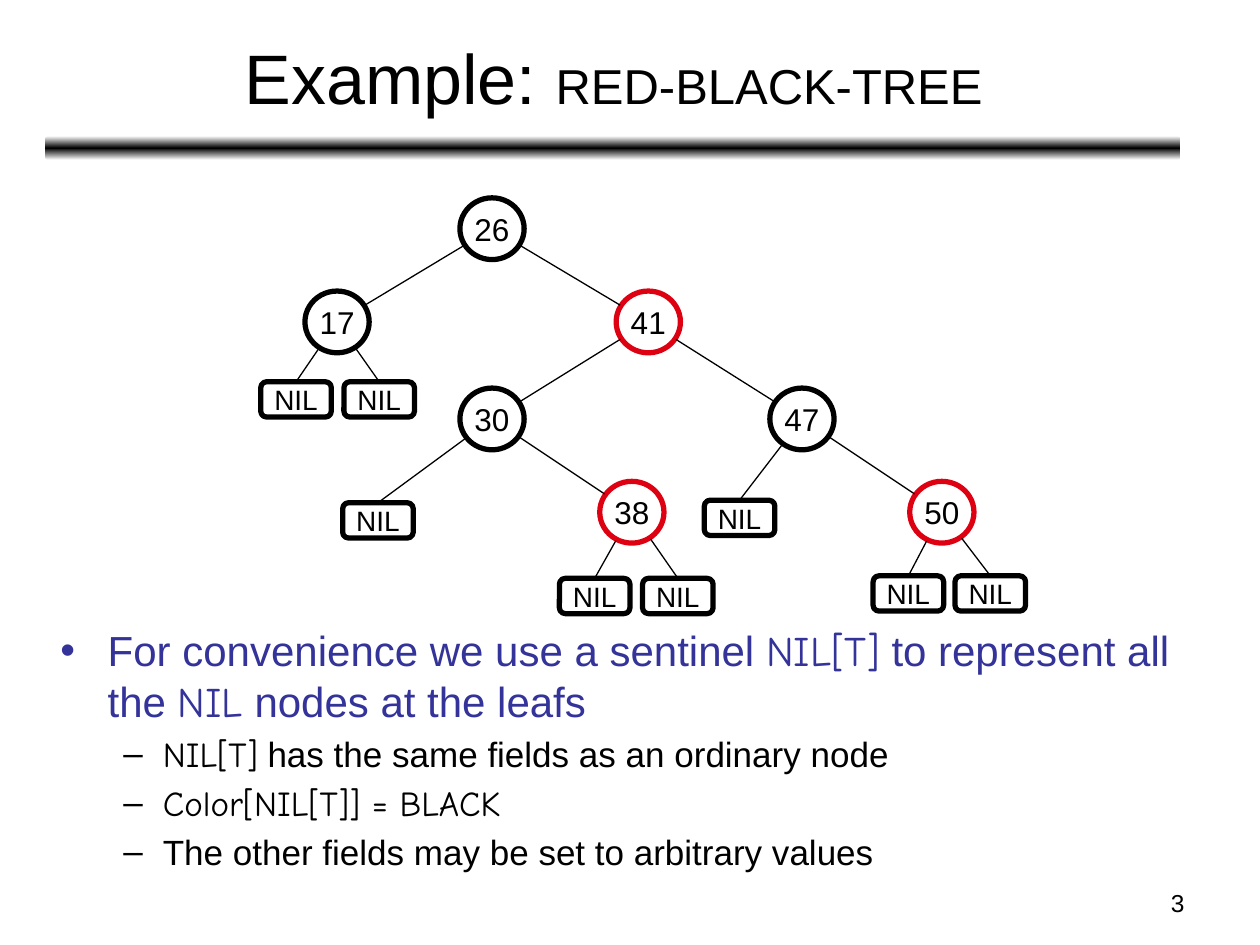
from copy import deepcopy
from dataclasses import dataclass
from math import hypot

from lxml import etree
from pptx import Presentation
from pptx.dml.color import RGBColor
from pptx.enum.shapes import MSO_CONNECTOR, MSO_SHAPE
from pptx.enum.text import MSO_ANCHOR, MSO_AUTO_SIZE, PP_ALIGN
from pptx.oxml.ns import qn
from pptx.util import Inches, Pt

CIRCLE, ROUNDED = MSO_SHAPE.OVAL, MSO_SHAPE.ROUNDED_RECTANGLE
STRAIGHT = MSO_CONNECTOR.STRAIGHT
MIDDLE = MSO_ANCHOR.MIDDLE
CENTER, RIGHT = PP_ALIGN.CENTER, PP_ALIGN.RIGHT
FIXED_SIZE = MSO_AUTO_SIZE.NONE


@dataclass(frozen=True)
class Theme:
    black: RGBColor = RGBColor(0, 0, 0)
    white: RGBColor = RGBColor(255, 255, 255)
    red: RGBColor = RGBColor(0xDD, 0x01, 0x11)
    lead: RGBColor = RGBColor(0x33, 0x33, 0x99)
    font: str = "Arial"
    code_font: str = "Comic Neue"
    title_size: int = 40
    subtitle_size: int = 28
    lead_size: int = 24
    point_size: int = 20
    key_size: int = 18
    nil_size: int = 16
    page_size: int = 14
    node_line: float = 3
    edge_line: float = 0.75


THEME = Theme()

NODE_W, NODE_H = 0.51, 0.49
NIL_W, NIL_H = 0.56, 0.28
EDGE_GAP = 0.26  # from a node's centre to the end of its edges

# key: (left, top, colour), within the tree's box
NODES = {
    26: (1.58, 0, THEME.black),
    17: (0.35, 0.74, THEME.black),
    41: (2.82, 0.74, THEME.red),
    30: (1.58, 1.51, THEME.black),
    47: (4.04, 1.51, THEME.black),
    38: (2.69, 2.25, THEME.red),
    50: (5.15, 2.25, THEME.red),
}
EDGES = [(26, 17), (26, 41), (41, 30), (41, 47), (30, 38), (47, 50)]
# (parent, left, top), within the tree's box
NILS = [
    (17, 0, 1.46), (17, 0.66, 1.46), (30, 0.65, 2.42), (47, 3.52, 2.4),
    (38, 2.37, 3.02), (38, 3.03, 3.02), (50, 4.86, 3), (50, 5.51, 3),
]

# (level, [(text, is code)])
POINTS = [
    (0, [("For convenience we use a sentinel ", False), ("NIL[T]", True),
         (" to represent all the ", False), ("NIL", True),
         (" nodes at the leafs", False)]),
    (1, [("NIL[T]", True), (" has the same fields as an ordinary node", False)]),
    (1, [("Color[NIL[T]] = BLACK", True)]),
    (1, [("The other fields may be set to arbitrary values", False)]),
]


def add_run(paragraph, text, size, color=THEME.black, font=THEME.font):
    run = paragraph.add_run()
    run.text = text
    run.font.size = Pt(size)
    run.font.name = font
    run.font.color.rgb = color


def place(shape, box):
    shape.left, shape.top, shape.width, shape.height = map(Inches, box)


def write_title(slide, box):
    title = slide.shapes.title
    place(title, box)
    title.text_frame.vertical_anchor = MIDDLE
    title.text_frame.auto_size = FIXED_SIZE
    heading = title.text_frame.paragraphs[0]
    heading.alignment = CENTER
    add_run(heading, "Example: ", THEME.title_size)
    add_run(heading, "RED-BLACK-TREE", THEME.subtitle_size)


def draw_rule(slide, box):
    """Draw the band under the title, fading to white above and below."""
    band = slide.shapes.add_shape(ROUNDED, *map(Inches, box))
    band.shadow.inherit = False
    band.line.fill.background()
    band.fill.gradient()
    band.fill.gradient_angle = 90
    first_stop = band.element.spPr.find(".//" + qn("a:gs"))
    first_stop.addnext(deepcopy(first_stop))
    fade = [(0, THEME.white), (0.5, THEME.black), (1, THEME.white)]
    for stop, (position, color) in zip(band.fill.gradient_stops, fade):
        stop.position = position
        stop.color.rgb = color


def draw_node(slide, outline, box, label, size, color):
    node = slide.shapes.add_shape(outline, *map(Inches, box))
    node.shadow.inherit = False
    node.fill.background()
    node.line.color.rgb = color
    node.line.width = Pt(THEME.node_line)
    frame = node.text_frame
    frame.word_wrap = False
    frame.vertical_anchor = MIDDLE
    frame.paragraphs[0].alignment = CENTER
    add_run(frame.paragraphs[0], label, size)


def draw_edge(slide, parent, child, child_gap):
    """Join two points, stopping short of the parent's and the child's centre."""
    (x1, y1), (x2, y2) = parent, child
    length = hypot(x2 - x1, y2 - y1)
    ux, uy = (x2 - x1) / length, (y2 - y1) / length
    ends = (x1 + ux * EDGE_GAP, y1 + uy * EDGE_GAP,
            x2 - ux * child_gap, y2 - uy * child_gap)
    edge = slide.shapes.add_connector(STRAIGHT, *map(Inches, ends))
    edge.line.color.rgb = THEME.black
    edge.line.width = Pt(THEME.edge_line)
    etree.SubElement(edge._element.spPr, qn("a:effectLst"))


def draw_tree(slide, left, top):
    centres = {}
    for key, (x, y, color) in NODES.items():
        box = (left + x, top + y, NODE_W, NODE_H)
        centres[key] = (box[0] + NODE_W / 2, box[1] + NODE_H / 2)
        draw_node(slide, CIRCLE, box, str(key), THEME.key_size, color)
    for parent, child in EDGES:
        draw_edge(slide, centres[parent], centres[child], EDGE_GAP)
    for parent, x, y in NILS:
        box = (left + x, top + y, NIL_W, NIL_H)
        draw_node(slide, ROUNDED, box, "NIL", THEME.nil_size, THEME.black)
        draw_edge(slide, centres[parent], (box[0] + NIL_W / 2, box[1]), 0)


def write_points(slide, box):
    body = slide.placeholders[1]
    place(body, box)
    frame = body.text_frame
    frame.auto_size = FIXED_SIZE
    styles = [(THEME.lead_size, THEME.lead), (THEME.point_size, THEME.black)]
    for index, (level, parts) in enumerate(POINTS):
        point = frame.add_paragraph() if index else frame.paragraphs[0]
        point.level = level
        size, color = styles[level]
        for text, is_code in parts:
            font = THEME.code_font if is_code else THEME.font
            add_run(point, text, size, color, font)


def write_page_number(slide, box):
    frame = slide.shapes.add_textbox(*map(Inches, box)).text_frame
    frame.word_wrap = True
    frame.paragraphs[0].alignment = RIGHT
    add_run(frame.paragraphs[0], "3", THEME.page_size)


def main():
    deck = Presentation()
    deck.slide_width, deck.slide_height = Inches(10), Inches(7.5)
    slide = deck.slides.add_slide(deck.slide_layouts[1])
    draw_rule(slide, (0.36, 1.08, 9.01, 0.19))
    write_page_number(slide, (7.17, 7, 2.33, 0.35))
    write_title(slide, (0.37, 0.11, 9, 0.99))
    write_points(slide, (0.38, 4.91, 9.34, 2.36))
    draw_tree(slide, 2.07, 1.57)
    deck.save("out.pptx")


if __name__ == "__main__":
    main()
